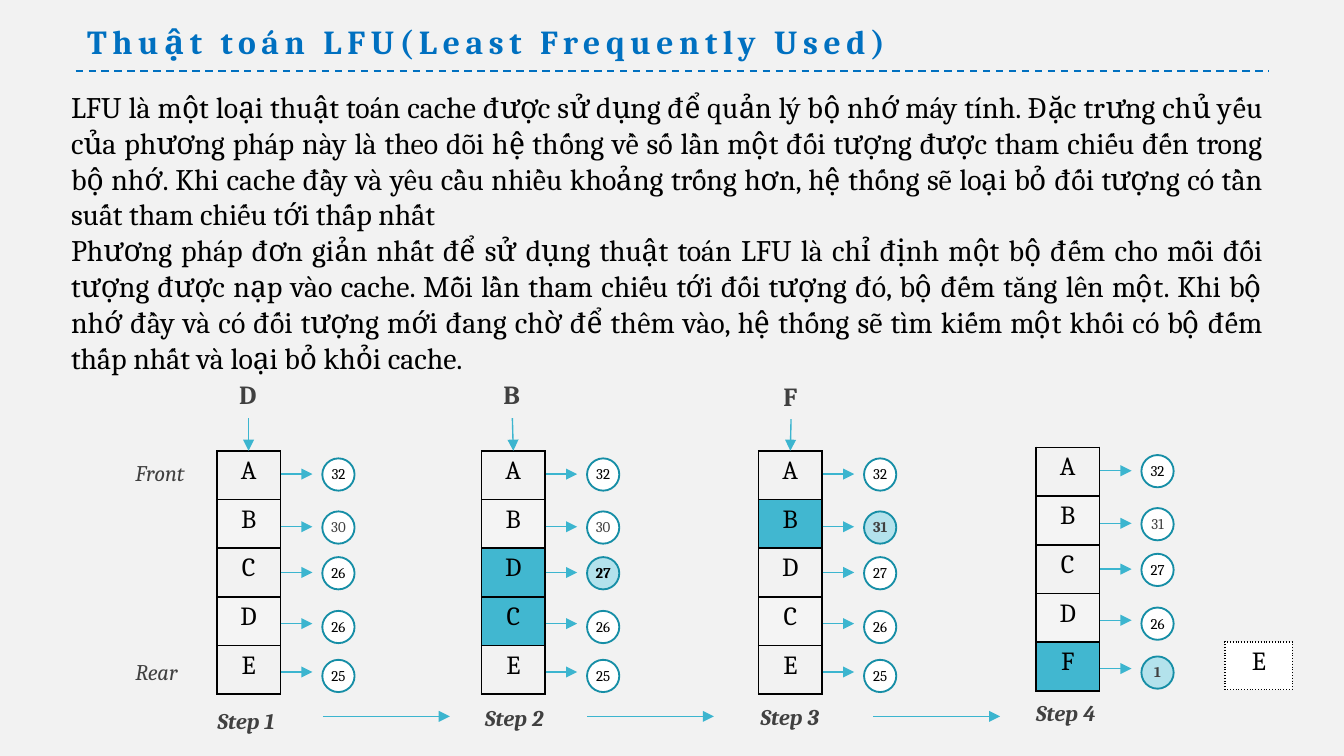
"""Build a slide that explains the LFU cache algorithm in four steps."""
from lxml import etree
from pptx import Presentation
from pptx import util as u
from pptx.dml.color import RGBColor
from pptx.enum import dml, shapes, text
from pptx.oxml.ns import qn

Pt = u.Pt
rgb = RGBColor.from_string
INK, GREY, ACCENT, HOT = "000000", "404040", "3CB5CF", "41B7D0"
LEFT, CENTER, JUSTIFY = text.PP_ALIGN.LEFT, text.PP_ALIGN.CENTER, text.PP_ALIGN.JUSTIFY


def write(tf, content, size=12, color=GREY, bold=False, italic=False, align=LEFT, spc=0):
    for i, line in enumerate(content.split("\n")):
        p = tf.add_paragraph() if i else tf.paragraphs[0]
        p.alignment = align
        r = p.add_run()
        r.text = line
        f = r.font
        f.name, f.size, f.bold, f.italic = "Cambria", Pt(size), bold, italic
        f.color.rgb = rgb(color)
        if spc:
            r._r.get_or_add_rPr().set("spc", str(spc * 100))


def connect(x1, y1, x2, y2, color=ACCENT, width=0.75, arrow=True):
    c = s.shapes.add_connector(shapes.MSO_CONNECTOR.STRAIGHT, Pt(x1), Pt(y1), Pt(x2), Pt(y2))
    c.line.color.rgb = rgb(color)
    c.line.width = Pt(width)
    if arrow:
        etree.SubElement(c.line._get_or_add_ln(), qn("a:tailEnd"), type="triangle")
    else:
        c.line.dash_style = dml.MSO_LINE.DASH
    etree.SubElement(c._element.spPr, qn("a:effectLst"))


prs = Presentation()
prs.slide_width, prs.slide_height = Pt(720), Pt(405)
s = prs.slides.add_slide(prs.slide_layouts[6])
s.background.fill.solid()
s.background.fill.fore_color.rgb = rgb("F2F2F2")

BODY = (
    "LFU là một loại thuật toán cache được sử dụng để quản lý bộ nhớ máy tính. "
    "Đặc trưng chủ yếu của phương pháp này là theo dõi hệ thống về số lần một đối tượng "
    "được tham chiếu đến trong bộ nhớ. Khi cache đầy và yêu cầu nhiều khoảng trống hơn, "
    "hệ thống sẽ loại bỏ đối tượng có tần suất tham chiếu tới thấp nhất\n"
    "Phương pháp đơn giản nhất để sử dụng thuật toán LFU là chỉ định một bộ đếm cho mỗi "
    "đối tượng được nạp vào cache. Mỗi lần tham chiếu tới đối tượng đó, bộ đếm tăng lên một. "
    "Khi bộ nhớ đầy và có đối tượng mới đang chờ để thêm vào, hệ thống sẽ tìm kiếm một khối "
    "có bộ đếm thấp nhất và loại bỏ khỏi cache."
)
request = dict(size=14, bold=True)
step = dict(bold=True, italic=True)
side = dict(italic=True)
texts = [
    ("Thuật toán LFU(Least Frequently Used)", 39.6, 7.9, 453, 29, False,
     dict(size=18, color="0070C0", bold=True, spc=3)),
    (BODY, 31, 43.9, 652.3, 162.7, True, dict(size=16, color=INK, align=JUSTIFY)),
    ("D", 121, 199.4, 24.5, 24.5, False, request),
    ("B", 262.6, 199.4, 23.8, 24.5, False, request),
    ("F", 412.6, 200, 22.3, 24.5, False, request),
    ("Front", 65.5, 242.6, 43.2, 21.6, False, side),
    ("Rear", 65.5, 349.2, 38.2, 21.6, False, side),
    ("Step 1", 109.4, 375.1, 47.5, 21.6, False, step),
    ("Step 2", 252.7, 373.7, 47.5, 21.6, False, step),
    ("Step 3", 400.3, 373, 47.5, 21.6, False, step),
    ("Step 4", 547.9, 370.8, 47.5, 21.6, False, step),
]
for content, x, y, w, h, wrap, fmt in texts:
    tf = s.shapes.add_textbox(Pt(x), Pt(y), Pt(w), Pt(h)).text_frame
    tf.word_wrap = wrap
    tf.auto_size = text.MSO_AUTO_SIZE.SHAPE_TO_FIT_TEXT
    write(tf, content, **fmt)

connect(40.5, 38, 680, 38, color="0070C0", width=1, arrow=False)

# left, top, width, row height, border, items, highlighted rows, counts, highlighted count
caches = [
    (116.2, 241.5, 34, 26.1, "solid", "ABCDE", "", (32, 30, 26, 26, 25), None),
    (258, 241.5, 34, 26.1, "solid", "ABDCE", "DC", (32, 30, 27, 26, 25), 2),
    (406.4, 241.5, 34, 26.1, "solid", "ABDCE", "B", (32, 31, 27, 26, 25), 1),
    (555, 239.7, 34, 26.1, "solid", "ABCDF", "F", (32, 31, 27, 26, 1), 4),
    (656.4, 344, 36, 25.5, "sysDot", "E", "", (), None),
]
circle_tops = (4.1, 32.5, 57, 85.8, 112)
arrow_tops = (12.5, 40.7, 65.2, 92.6, 118.5)
for x, y, w, row_h, dash, items, hot_items, counts, hot_count in caches:
    tbl = s.shapes.add_table(len(items), 1, Pt(x), Pt(y), Pt(w), Pt(row_h * len(items))).table
    tbl.first_row = tbl.horz_banding = False
    tbl.columns[0].width = Pt(w)
    for i, item in enumerate(items):
        tbl.rows[i].height = Pt(row_h)
        cell = tbl.cell(i, 0)
        cell.margin_top = cell.margin_bottom = Pt(2.7)
        write(cell.text_frame, item, size=14, color=INK, align=CENTER)
        tc_pr = cell._tc.get_or_add_tcPr()
        for edge in ("lnL", "lnR", "lnT", "lnB"):
            ln = etree.SubElement(tc_pr, qn("a:" + edge), w=str(Pt(1)))
            fill = etree.SubElement(ln, qn("a:solidFill"))
            etree.SubElement(fill, qn("a:srgbClr"), val=INK)
            etree.SubElement(ln, qn("a:prstDash"), val=dash)
        hot, striped = item in hot_items, i % 2 == 1
        if hot or striped or not counts:
            cell.fill.solid()
            cell.fill.fore_color.rgb = rgb(HOT if hot else "FFFFFF")
            if striped and not hot:
                clr = tc_pr.find(qn("a:solidFill")).find(qn("a:srgbClr"))
                etree.SubElement(clr, qn("a:alpha"), val="20000")
        else:
            cell.fill.background()

    for i, count in enumerate(counts):
        hot, top = i == hot_count, y + circle_tops[i]
        group = s.shapes.add_group_shape().shapes
        sp = group.add_shape(shapes.MSO_SHAPE.OVAL, Pt(x + 56.5), Pt(top), Pt(17.3), Pt(17.3))
        sp.shadow.inherit = False
        sp.fill.solid()
        sp.fill.fore_color.rgb = rgb("B3E2EC" if hot else "FFFFFF")
        sp.line.color.rgb = rgb("168EA6")
        sp.line.width = Pt(1)
        tf = group.add_textbox(Pt(x + 51.1), Pt(top), Pt(28.1), Pt(17.3)).text_frame
        tf.word_wrap = True
        tf.auto_size = text.MSO_AUTO_SIZE.SHAPE_TO_FIT_TEXT
        grey = i == 1 or count == 1
        write(tf, str(count), size=8, color=GREY if grey else INK, bold=hot, align=CENTER)
        connect(x + 34.3, y + arrow_tops[i], x + 51.2, y + arrow_tops[i])

for x1, y1, x2 in ((133.2, 224, 133.2), (274.5, 224, 275), (423.8, 224.6, 423.4)):
    connect(x1, y1, x2, 241.5)
for x in (173, 314.5, 467.8):
    connect(x, 383.8, x + 68, 383.8)

prs.save("out.pptx")
